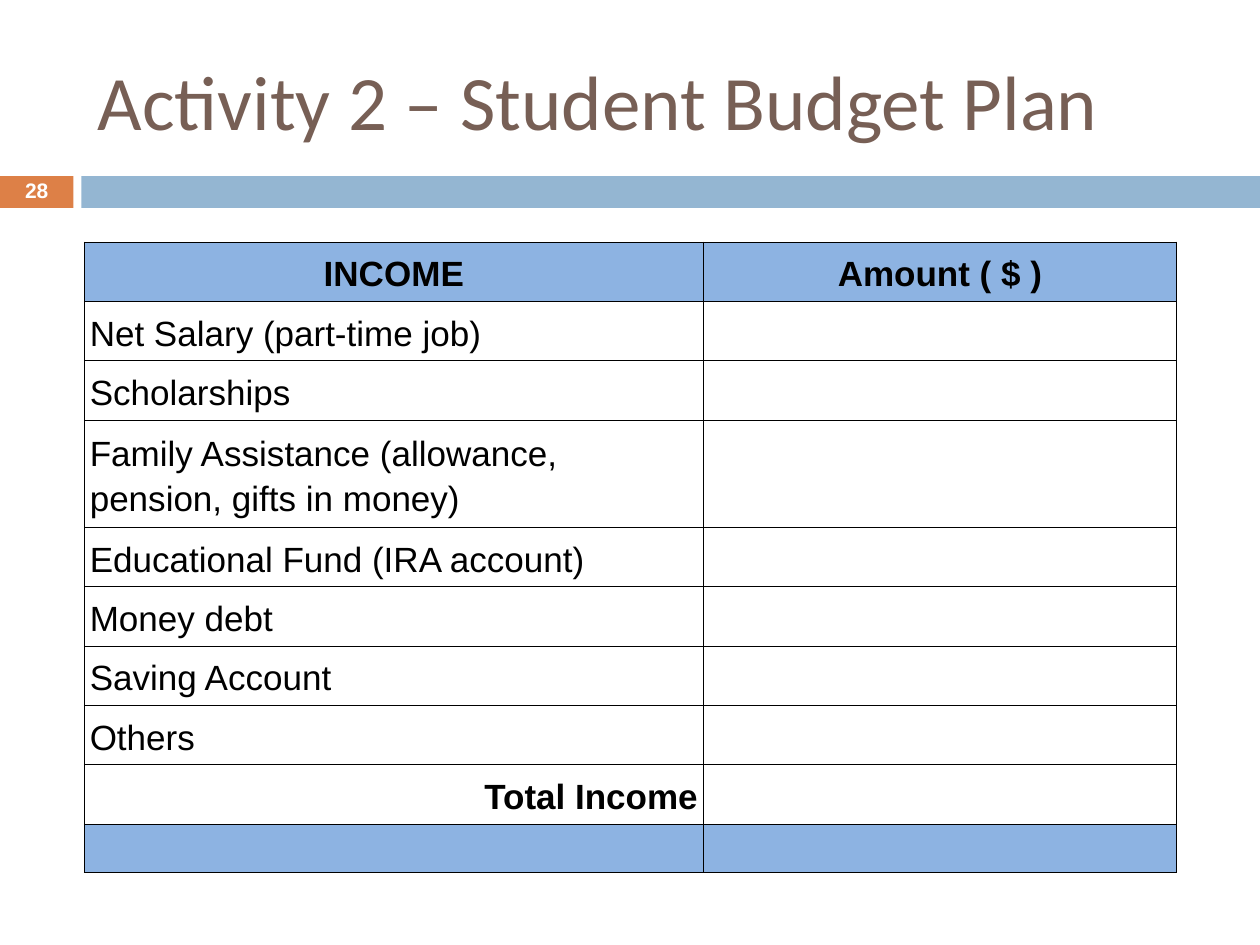
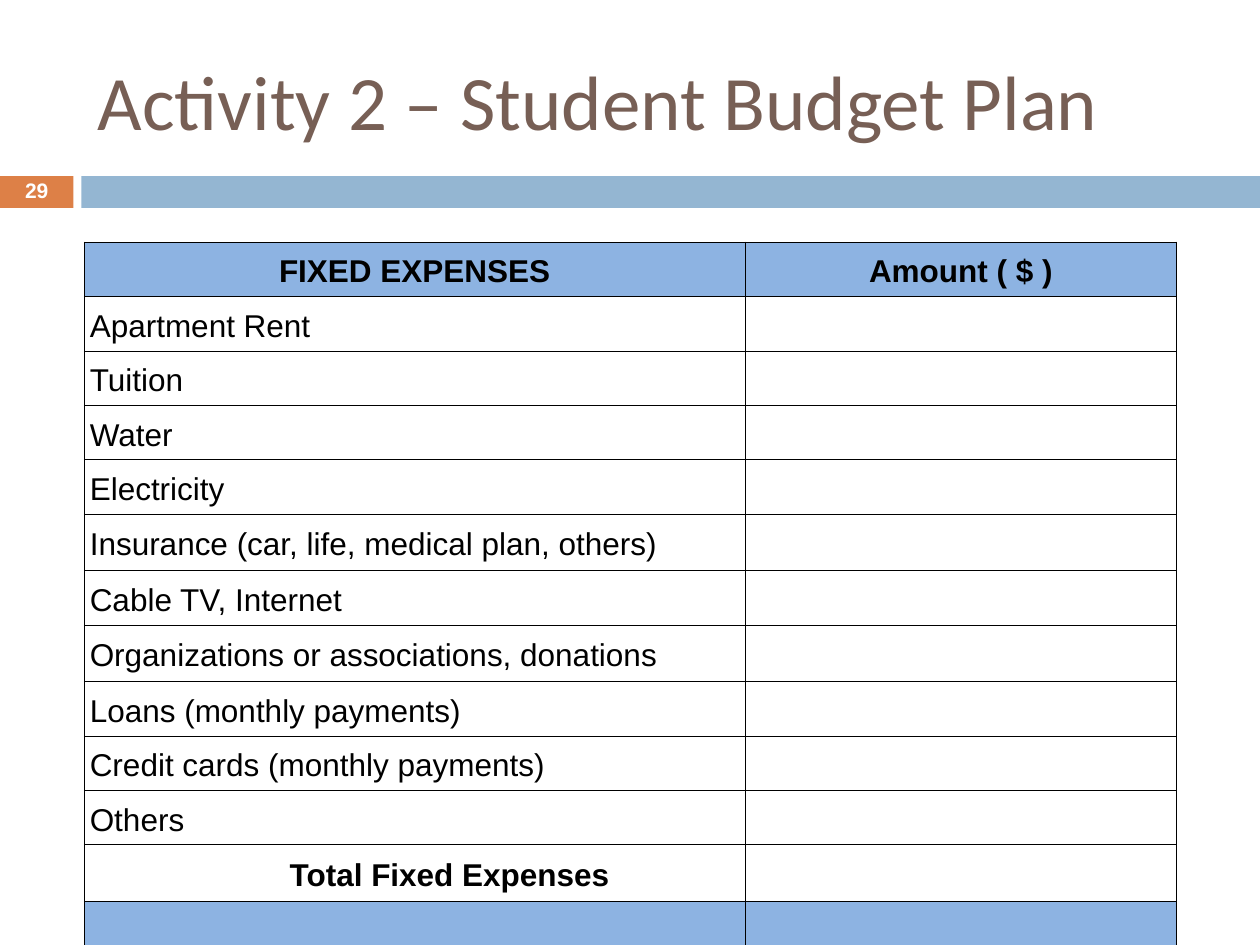
from lxml import etree
from pptx import Presentation
from pptx.dml.color import RGBColor
from pptx.enum.shapes import MSO_SHAPE
from pptx.enum.text import MSO_ANCHOR, PP_ALIGN
from pptx.oxml.ns import qn
from pptx.util import Cm, Pt

RECT = MSO_SHAPE.RECTANGLE
MIDDLE = MSO_ANCHOR.MIDDLE
LEFT, CENTER, RIGHT = PP_ALIGN.LEFT, PP_ALIGN.CENTER, PP_ALIGN.RIGHT
TITLE_ONLY = 5

TITLE = "Activity 2 – Student Budget Plan"
ROW_LAST = 0.97


def rgb(value):
    return RGBColor.from_string(value)


class Deck:
    BROWN, ORANGE, BLUE = "775F55", "DD8047", "94B6D2"
    HEADER, BLACK, WHITE = "8DB3E2", "000000", "FFFFFF"
    HEAD_FONT, BODY_FONT = "Calibri", "Arial"
    MARGIN = 1.7
    TAG_WIDTH = 1.48
    BAND_TOP, BAND_HEIGHT = 3.55, 0.64
    TABLE_TOP, TABLE_WIDTH = 4.88, 22.02
    CELL_MARGIN = 0.11

    def __init__(self):
        self.prs = Presentation()
        self.prs.slide_width, self.prs.slide_height = Cm(25.4), Cm(19.05)
        self.slide = None

    def style(self, p, size, color, bold=False, align=LEFT, font=BODY_FONT, spacing=None):
        p.alignment = align
        if spacing:
            p.line_spacing = spacing
        p.font.name, p.font.size, p.font.bold = font, Pt(size), bold
        p.font.color.rgb = rgb(color)

    def add_slide(self, title, number):
        self.slide = self.prs.slides.add_slide(self.prs.slide_layouts[TITLE_ONLY])
        band_left = 1.64
        self.bar(0, self.TAG_WIDTH, self.ORANGE)
        self.bar(band_left, 25.4 - band_left, self.BLUE)
        self.title(title)
        self.page_number(number)

    def bar(self, left, width, color):
        sp = self.slide.shapes.add_shape(
            RECT, Cm(left), Cm(self.BAND_TOP), Cm(width), Cm(self.BAND_HEIGHT))
        sp.shadow.inherit = False
        sp.fill.solid()
        sp.fill.fore_color.rgb = rgb(color)
        sp.line.fill.background()

    def title(self, text):
        sp = self.slide.shapes.title
        sp.left, sp.top = Cm(1.72), Cm(0.64)
        sp.width, sp.height = Cm(22.66), Cm(2.74)
        tf = sp.text_frame
        tf.text = text
        tf.vertical_anchor = MIDDLE
        self.style(tf.paragraphs[0], 44, self.BROWN, font=self.HEAD_FONT)

    def page_number(self, number):
        sp = self.slide.shapes.add_textbox(
            0, Cm(3.53), Cm(self.TAG_WIDTH), Cm(0.69))
        tf = sp.text_frame
        tf.word_wrap = True
        tf.vertical_anchor = MIDDLE
        tf.text = str(number)
        self.style(tf.paragraphs[0], 12, self.WHITE, True, CENTER, spacing=0.8)

    def borders(self, cell):
        tcPr = cell._tc.get_or_add_tcPr()
        for i, side in enumerate(("lnL", "lnR", "lnT", "lnB")):
            ln = etree.Element(qn(f"a:{side}"), w=str(Pt(0.45)))
            fill = etree.SubElement(ln, qn("a:solidFill"))
            etree.SubElement(fill, qn("a:srgbClr"), val=self.BLACK)
            tcPr.insert(i, ln)

    def end_font(self, p, size):
        """Set the font of the paragraph mark, which counts in the row height."""
        end = etree.SubElement(p._p, qn("a:endParaRPr"), sz=str(size * 100))
        etree.SubElement(end, qn("a:latin"), typeface=self.BODY_FONT)

    def cell(self, cell, text, size, bold, align, color):
        cell.margin_left = cell.margin_right = Cm(self.CELL_MARGIN)
        cell.margin_top = cell.margin_bottom = Cm(self.CELL_MARGIN)
        cell.vertical_anchor = MIDDLE
        if color:
            cell.fill.solid()
            cell.fill.fore_color.rgb = rgb(color)
        else:
            cell.fill.background()
        self.borders(cell)
        p = cell.text_frame.paragraphs[0]
        if text:
            r = p.add_run()
            r.text = text
            self.style(p, size, self.BLACK, bold, align, spacing=1.15)
            r.font.name, r.font.size = self.BODY_FONT, Pt(size)
        self.end_font(p, size if text else 18)

    def budget_table(self, heading, items, total, size, first_width, heights,
                     total_align=RIGHT, total_indent=CELL_MARGIN):
        """Header row, one row per item, a total row and a closing coloured row."""
        labels = [heading, *items, total, ""]
        last = len(labels) - 1
        table = self.slide.shapes.add_table(
            len(labels), 2, Cm(self.MARGIN), Cm(self.TABLE_TOP),
            Cm(self.TABLE_WIDTH), Cm(sum(heights))).table
        table.first_row = table.horz_banding = False
        table.columns[0].width = Cm(first_width)
        table.columns[1].width = Cm(self.TABLE_WIDTH - first_width)
        for i, (label, height) in enumerate(zip(labels, heights)):
            table.rows[i].height = Cm(height)
            color = self.HEADER if i in (0, last) else None
            align = {0: CENTER, last - 1: total_align}.get(i, LEFT)
            amount = "Amount ( $ )" if i == 0 else ""
            bold = i in (0, last - 1)
            self.cell(table.cell(i, 0), label, size, bold, align, color)
            self.cell(table.cell(i, 1), amount, size, True, CENTER, color)
        table.cell(last - 1, 0).margin_left = Cm(total_indent)


def main():
    deck = Deck()

    deck.add_slide(TITLE, 28)
    income = ["Net Salary (part-time job)", "Scholarships",
              "Family Assistance (allowance, pension, gifts in money)",
              "Educational Fund (IRA account)", "Money debt", "Saving Account", "Others"]
    deck.budget_table("INCOME", income, "Total Income", 20, 12.48,
                      [1.16] * 3 + [2.06] + [1.16] * 5 + [ROW_LAST])

    deck.add_slide(TITLE, 29)
    expenses = ["Apartment Rent", "Tuition", "Water", "Electricity",
                "Insurance (car, life, medical plan, others)", "Cable TV, Internet",
                "Organizations or associations, donations", "Loans (monthly payments)",
                "Credit cards (monthly payments)", "Others"]
    normal, tall = 1.07, 1.14
    deck.budget_table("FIXED EXPENSES", expenses, "Total Fixed Expenses", 18, 13.32,
                      [normal] * 5 + [tall, normal, tall] + [normal] * 3 + [tall, ROW_LAST],
                      total_align=LEFT, total_indent=4.14)

    deck.prs.save("out.pptx")


if __name__ == "__main__":
    main()
